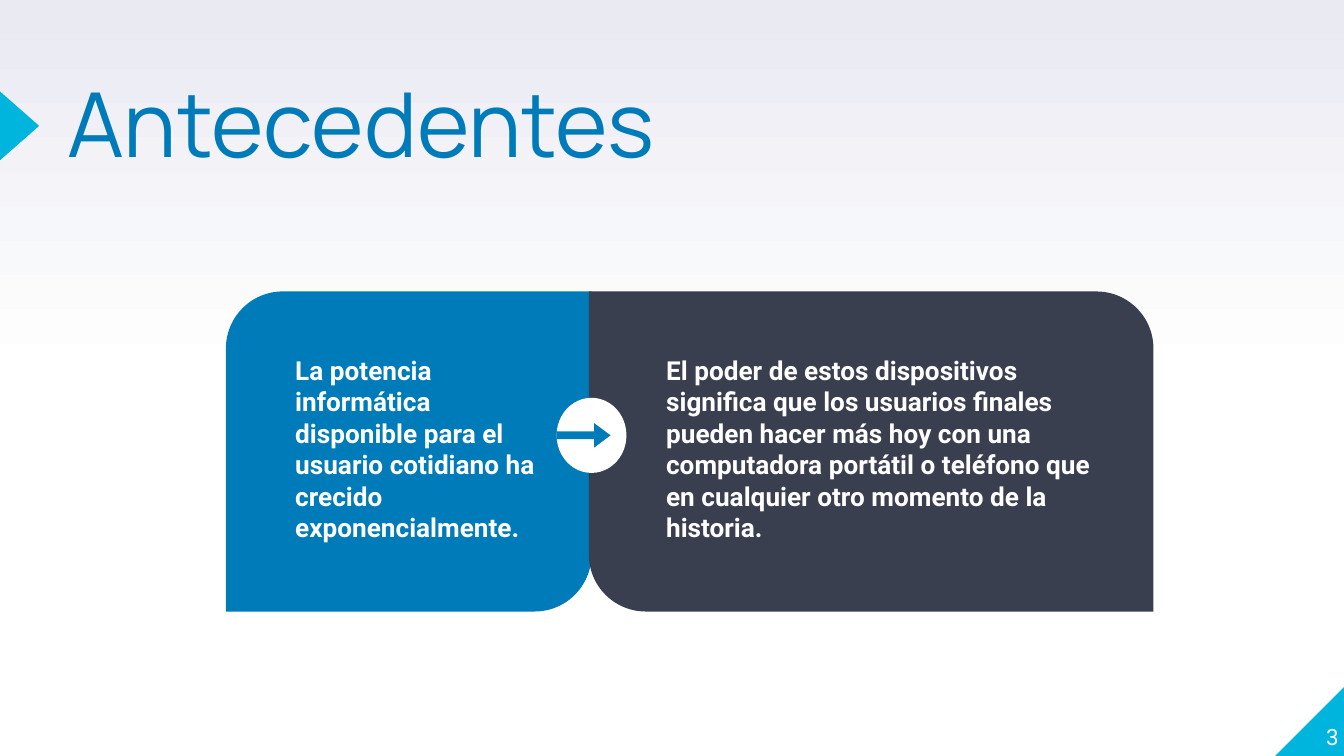
"""Build the slide "Antecedentes" with two linked panels."""
import pptx
import pptx.dml.color
import pptx.enum.shapes
import pptx.enum.text
import pptx.util

Cm = pptx.util.Cm
KIND = pptx.enum.shapes.MSO_SHAPE
ALIGN = pptx.enum.text.PP_ALIGN
ANCHOR = pptx.enum.text.MSO_ANCHOR

HUES = {
    "blue": "007BB9",
    "cyan": "00B5DD",
    "dark": "3A3F50",
    "white": "FFFFFF",
    "mist": "E9EAF2",
}
WIDE, HIGH = 25.4, 14.29
TOP, TALL = 5.51, 6.05
TITLE = "Antecedentes"
PAGE = "3"
PANELS = [
    {
        "left": 4.27, "wide": 6.91, "hue": "blue", "bends": (0.178, 0),
        "inset": 1.06, "room": 5.16,
        "text": "La potencia informática disponible para el usuario cotidiano "
                "ha crecido exponencialmente.",
    },
    {
        "left": 11.13, "wide": 10.67, "hue": "dark", "bends": (0, 0.178),
        "inset": 1.21, "room": 8.61,
        "text": "El poder de estos dispositivos significa que los usuarios "
                "finales pueden hacer más hoy con una computadora portátil o "
                "teléfono que en cualquier otro momento de la historia.",
    },
]


def tint(name):
    return pptx.dml.color.RGBColor.from_string(HUES[name])


def draw(slide, kind, box, hue, bends=(), turn=0):
    shape = slide.shapes.add_shape(kind, *map(Cm, box))
    shape.shadow.inherit = False
    shape.fill.solid()
    shape.fill.fore_color.rgb = tint(hue)
    shape.line.fill.background()
    shape.rotation = turn
    for index, bend in enumerate(bends):
        shape.adjustments[index] = bend


def write(slide, text, box, size=14, font="Roboto", hue="white", bold=False,
          align=ALIGN.LEFT, anchor=ANCHOR.TOP, pad=0, lead=1.0):
    frame = slide.shapes.add_textbox(*map(Cm, box)).text_frame
    frame.word_wrap = True
    frame.vertical_anchor = anchor
    frame.margin_left = frame.margin_right = Cm(pad)
    frame.margin_top = frame.margin_bottom = Cm(pad)
    para = frame.paragraphs[0]
    para.alignment = align
    para.line_spacing = lead
    run = para.add_run()
    run.text = text
    run.font.size = pptx.util.Pt(size)
    run.font.name = font
    run.font.bold = bold
    run.font.color.rgb = tint(hue)


def shade(slide):
    fill = slide.background.fill
    fill.gradient()
    fill.gradient_angle = 90
    stops = zip(fill.gradient_stops, (0.5, 1), ("white", "mist"))
    for stop, place, hue in stops:
        stop.position = place
        stop.color.rgb = tint(hue)


def main():
    deck = pptx.Presentation()
    deck.slide_width, deck.slide_height = Cm(WIDE), Cm(HIGH)
    slide = deck.slides.add_slide(deck.slide_layouts[6])
    shade(slide)

    side = 1.3
    corner = (WIDE - side, HIGH - side, side, side)
    draw(slide, KIND.RIGHT_TRIANGLE, corner, "cyan", turn=270)
    draw(slide, KIND.ISOSCELES_TRIANGLE, (-0.28, 2.01, side, 0.74), "cyan",
         turn=90)
    write(slide, TITLE, (1.27, 1.68, 15.67, 3), size=48, font="Manrope",
          hue="blue", lead=0.8)
    write(slide, PAGE, (24.03, 12.88, 1.27, side), size=12,
          align=ALIGN.RIGHT, anchor=ANCHOR.BOTTOM)

    for panel in PANELS:
        left = panel["left"]
        draw(slide, KIND.ROUND_2_DIAG_RECTANGLE,
             (left, TOP, panel["wide"], TALL), panel["hue"], panel["bends"])
        write(slide, panel["text"],
              (left + panel["inset"], TOP + 0.94, panel["room"], 3.99),
              bold=True, pad=0.25)

    mid = TOP + 2.72
    for kind, wide, tall, hue, bends in (
        (KIND.OVAL, 1.32, 1.42, "white", ()),
        (KIND.RIGHT_ARROW, 1.02, 0.46, "blue", (0.32, 0.67)),
    ):
        draw(slide, kind, (10.52, mid - tall / 2, wide, tall), hue, bends)

    deck.save("out.pptx")


if __name__ == "__main__":
    main()
